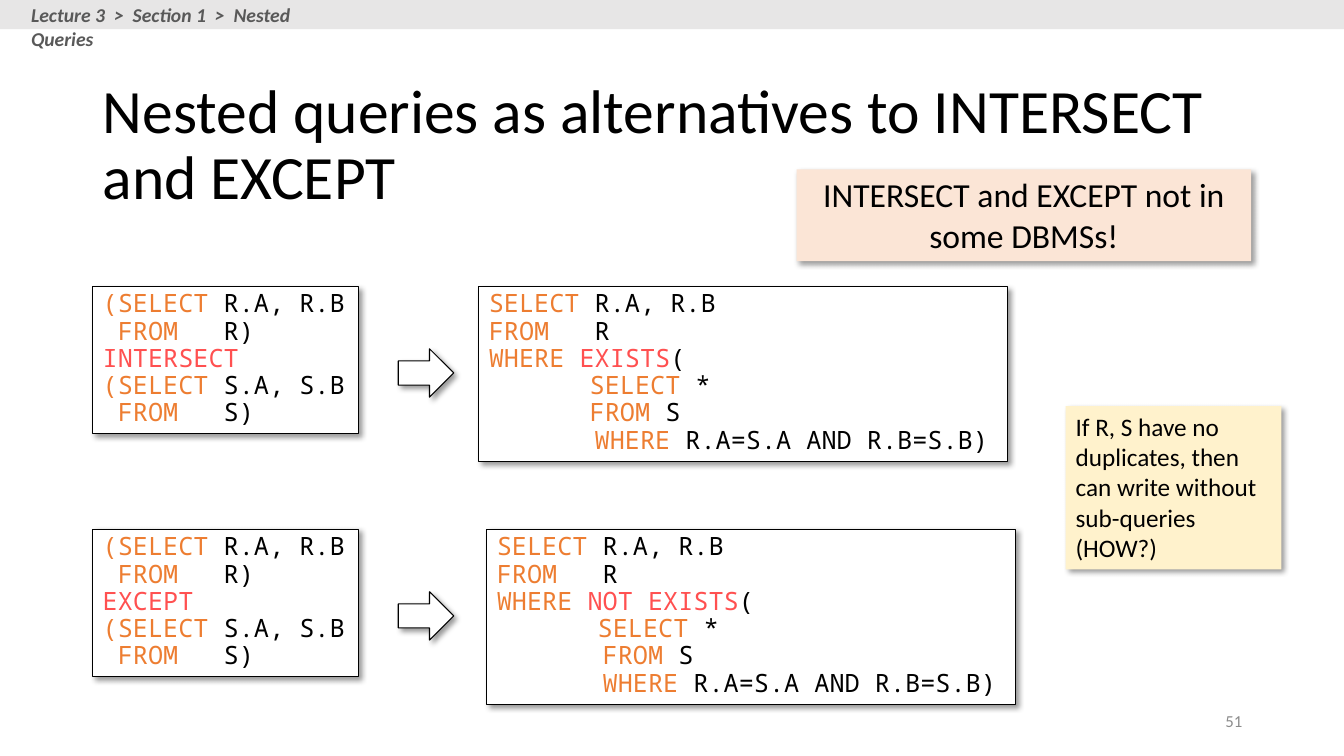
from lxml.etree import SubElement
from pptx import Presentation
from pptx.dml.color import RGBColor
from pptx.enum.shapes import MSO_SHAPE
from pptx.enum.text import MSO_ANCHOR, PP_ALIGN
from pptx.oxml.ns import qn
from pptx.util import Emu, Pt

PX = 9144
KEYWORD, PLAIN, OPERATOR = "ED7D31", "000000", "FF5050"
CODE_COLORS = (KEYWORD, PLAIN, OPERATOR, PLAIN)


def add_panel(position, fill, kind=MSO_SHAPE.RECTANGLE, outline=None, shadow=True):
    shape = slide.shapes.add_shape(kind, *[Emu(value * PX) for value in position])
    shape.fill.solid()
    shape.fill.fore_color.rgb = RGBColor.from_string(fill)
    if outline:
        shape.line.color.rgb = RGBColor.from_string(outline)
        shape.line.width = Pt(0.75)
    else:
        shape.line.fill.background()
    shape.shadow.inherit = False
    if shadow:
        effects = shape._element.spPr.find(qn("a:effectLst"))
        outer = SubElement(effects, qn("a:outerShdw"), blurRad=str(Pt(4)), dist=str(Pt(3)),
                           dir="2700000", algn="tl", rotWithShape="0")
        color = SubElement(outer, qn("a:srgbClr"), val="000000")
        SubElement(color, qn("a:alpha"), val="40000")
    return shape


def write(text, shape=None, position=None, font="Calibri", size=18, colors=(PLAIN,), bold=False,
          italic=False, align=PP_ALIGN.LEFT, anchor=MSO_ANCHOR.TOP, spacing=1.0, indents=(0,)):
    if shape is None:
        shape = slide.shapes.add_textbox(*[Emu(value * PX) for value in position])
    frame = shape.text_frame
    frame.word_wrap = True
    frame.vertical_anchor = anchor
    for index, line in enumerate(text.split("\n")):
        paragraph = frame.add_paragraph() if index else frame.paragraphs[0]
        paragraph.alignment = align
        paragraph.line_spacing = spacing
        indent = indents[index] if index < len(indents) else 0
        if indent:
            paragraph._p.get_or_add_pPr().set("marL", str(indent * PX))
        for part, color in zip(line.split("|"), colors):
            if part:
                run = paragraph.add_run()
                run.text = part
                run.font.name = font
                run.font.size = Pt(size)
                run.font.bold = bold
                run.font.italic = italic
                run.font.color.rgb = RGBColor.from_string(color)


presentation = Presentation()
presentation.slide_width = Emu(1333 * PX)
presentation.slide_height = Emu(750 * PX)
slide = presentation.slides.add_slide(presentation.slide_layouts[6])

add_panel((0, 0, 1333, 29), "E7E6E6", shadow=False)
write("Lecture 3  >  Section 1  >  Nested Queries", position=(21, -2, 338, 34),
      size=14, colors=("595959",), bold=True, italic=True)
write("Nested queries as alternatives to INTERSECT and EXCEPT", position=(92, 73, 1150, 145),
      size=44, anchor=MSO_ANCHOR.MIDDLE, spacing=0.9)
write("51", position=(942, 695, 300, 40), size=12, colors=("8C8C8C",),
      align=PP_ALIGN.RIGHT, anchor=MSO_ANCHOR.MIDDLE)

examples = [
    (284, 475, "INTERSECT", "EXISTS", (100, 100, 105)),
    (525, 483, "EXCEPT", "NOT EXISTS", (100, 105, 105)),
]
for top, nested_left, set_operator, test, nested_indents in examples:
    set_query = f"(SELECT| R.A, R.B\n FROM|   R)\n||{set_operator}\n(SELECT| S.A, S.B\n FROM|   S)"
    nested_query = (f"SELECT| R.A, R.B\nFROM   |R\nWHERE ||{test}|(\n"
                    "SELECT |*\nFROM |S\nWHERE |R.A=S.A AND R.B=S.B)")
    queries = [
        ((92, top, 264, 146), set_query, (0,)),
        ((nested_left, top, 524, 174), nested_query, (0, 0, 0, *nested_indents)),
    ]
    for position, query, indents in queries:
        box = add_panel(position, "FFFFFF", outline="000000")
        write(query, shape=box, font="Noto Sans Mono", colors=CODE_COLORS,
              spacing=0.9, indents=indents)
    add_panel((395, top + 62, 55, 48), "FFFFFF", kind=MSO_SHAPE.RIGHT_ARROW, outline="000000")

warning = add_panel((790, 168, 451, 91), "FBE5D6")
write("INTERSECT and EXCEPT not in some DBMSs!", shape=warning, size=24, align=PP_ALIGN.CENTER)
hint = add_panel((1057, 403, 214, 162), "FFF2CC")
write("If R, S have no duplicates, then can write without sub-queries (HOW?)", shape=hint)

presentation.save("out.pptx")
